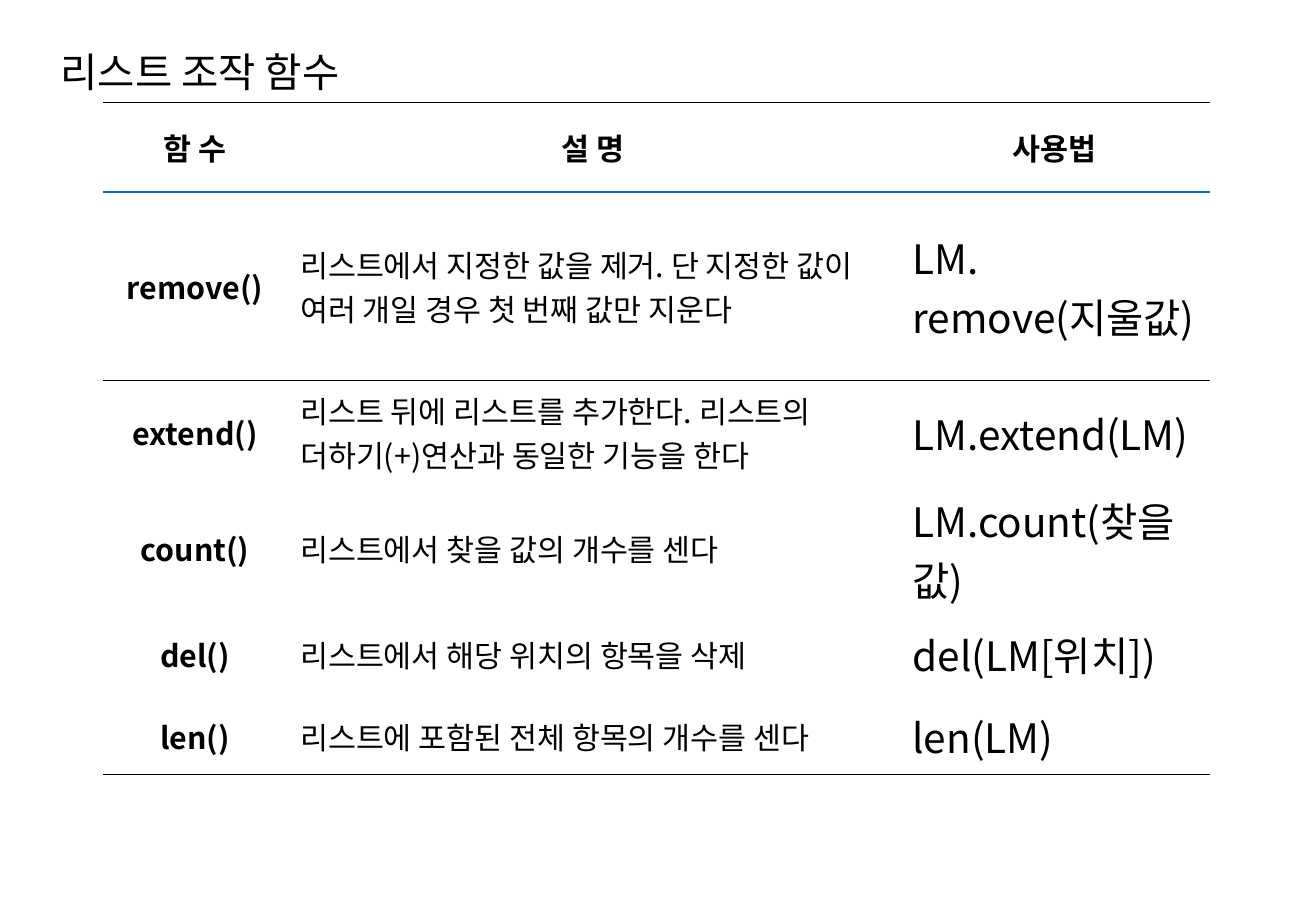
from lxml import etree
from pptx import Presentation
from pptx.dml.color import RGBColor
from pptx.enum.text import MSO_ANCHOR, PP_ALIGN
from pptx.oxml.ns import qn
from pptx.util import Inches, Pt

BLACK = RGBColor(0x00, 0x00, 0x00)
BLUE = RGBColor(0x00, 0x70, 0xC0)
FONT = "Noto Sans CJK KR"
MIDDLE = MSO_ANCHOR.MIDDLE
LEFT, CENTER = PP_ALIGN.LEFT, PP_ALIGN.CENTER

TITLE = "리스트 조작 함수"
ROWS = [
    ("함 수", "설 명", "사용법"),
    ("remove()", "리스트에서 지정한 값을 제거. 단 지정한 값이 여러 개일 경우 첫 번째 값만 지운다",
     "LM.remove(지울값)"),
    ("extend()", "리스트 뒤에 리스트를 추가한다. 리스트의 더하기(+)연산과 동일한 기능을 한다",
     "LM.extend(LM)"),
    ("count()", "리스트에서 찾을 값의 개수를 센다", "LM.count(찾을 값)"),
    ("del()", "리스트에서 해당 위치의 항목을 삭제", "del(LM[위치])"),
    ("len()", "리스트에 포함된 전체 항목의 개수를 센다", "len(LM)"),
]
WIDTHS = [1.51, 5.04, 2.56]
HEIGHTS = [0.74, 1.55, 0.86, 1.04, 0.71, 0.64]

# Horizontal rules, keyed by the number of rows above each
RULES = {0: (BLACK, 0.75), 1: (BLUE, 1.5), 2: (BLACK, 0.75), 6: (BLACK, 0.75)}


def set_text(frame, text, size, bold=False, align=LEFT, before=0):
    frame.word_wrap = True
    para = frame.paragraphs[0]
    para.text = text
    para.alignment = align
    para.space_before = Pt(before)
    font = para.font
    font.size, font.bold, font.name = Pt(size), bold, FONT
    font.color.rgb = BLACK
    # East Asian typeface
    props = para._p.get_or_add_pPr().find(qn("a:defRPr"))
    etree.SubElement(props, qn("a:ea"), typeface=FONT)


def add_title(slide):
    box = slide.shapes.add_textbox(Inches(0.4), Inches(0.32), Inches(6.26), Inches(0.54))
    box.text_frame.vertical_anchor = MIDDLE
    set_text(box.text_frame, TITLE, 24)


def set_edge(cell, side, rule, spot):
    line = etree.Element(qn("a:" + side))
    if rule:
        color, width = rule
        line.set("w", str(Pt(width)))
        fill = etree.SubElement(line, qn("a:solidFill"))
        etree.SubElement(fill, qn("a:srgbClr"), val=str(color))
    else:
        line.set("w", "0")
        etree.SubElement(line, qn("a:noFill"))
    cell._tc.get_or_add_tcPr().insert(spot, line)


def style_cell(cell, row):
    cell.fill.background()
    cell.vertical_anchor = MIDDLE
    cell.margin_left = cell.margin_right = Inches(0.11)
    cell.margin_top = cell.margin_bottom = Inches(0.05)
    edges = {"lnL": None, "lnR": None, "lnT": RULES.get(row), "lnB": RULES.get(row + 1)}
    for spot, (side, rule) in enumerate(edges.items()):
        set_edge(cell, side, rule, spot)


def add_grid(slide):
    frame = slide.shapes.add_table(len(ROWS), len(WIDTHS), Inches(0.85), Inches(0.84),
                                   Inches(sum(WIDTHS)), Inches(sum(HEIGHTS)))
    table = frame.table
    table.first_row = table.horz_banding = False
    for col, width in zip(table.columns, WIDTHS):
        col.width = Inches(width)
    for row, height in zip(table.rows, HEIGHTS):
        row.height = Inches(height)
    for r, texts in enumerate(ROWS):
        for c, text in enumerate(texts):
            cell = table.cell(r, c)
            style_cell(cell, r)
            head = r == 0 or c == 0
            usage = r > 0 and c == 2
            set_text(cell.text_frame, text, 24 if usage else 18, head,
                     CENTER if head else LEFT, 0 if usage else 3.6)


def main():
    deck = Presentation()
    deck.slide_width, deck.slide_height = Inches(10.83), Inches(7.5)
    slide = deck.slides.add_slide(deck.slide_layouts[6])
    add_title(slide)
    add_grid(slide)
    deck.save("out.pptx")


main()
